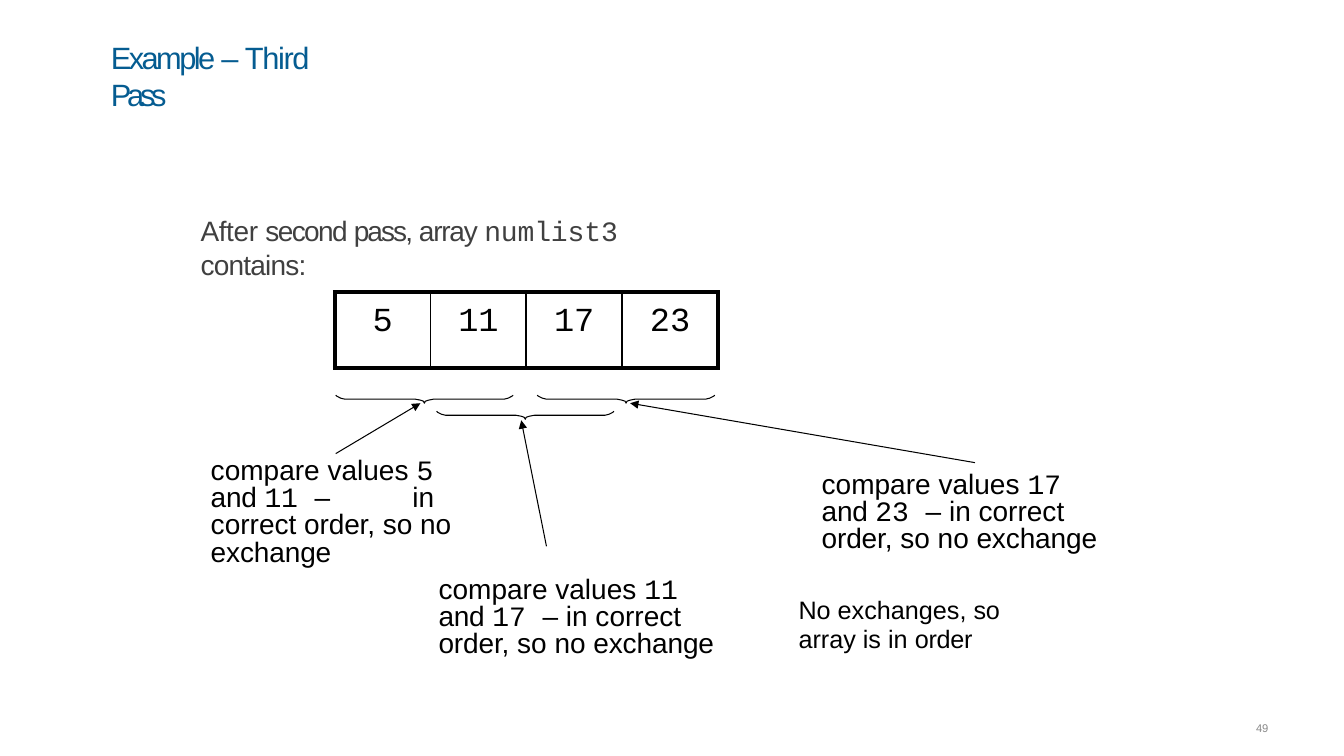
from lxml import etree
from pptx import Presentation
from pptx import util as u
from pptx.dml.color import RGBColor
from pptx.enum import shapes, text
from pptx.oxml import ns

BLACK = RGBColor(0, 0, 0)
BLUE = RGBColor(0x05, 0x5C, 0x91)
DARK_GREY = RGBColor(0x40, 0x40, 0x40)
PAGE_GREY = RGBColor(0x89, 0x89, 0x89)
SANS, MONO = "Arial", "Courier New"

# Half of a brace: distance from the tip, and depth below the top
HALF_BRACE = [(0, 0.08), (0.01, 0.06), (0.04, 0.05), (0.09, 0.04), (0.15, 0.04),
              (0.73, 0.04), (0.79, 0.04), (0.83, 0.03), (0.87, 0.01), (0.88, 0)]


def sub(parent, tag, **attributes):
    return etree.SubElement(parent, ns.qn(tag), attributes)


def write(frame, runs, size, color, inset=0.01, before=1, spacing=None):
    """Fill a frame with (words, font, letter spacing) runs."""
    frame.word_wrap = True
    frame.vertical_anchor = text.MSO_ANCHOR.TOP
    frame.margin_left = frame.margin_right = frame.margin_bottom = 0
    frame.margin_top = u.Inches(inset)
    paragraph = frame.paragraphs[0]
    paragraph.alignment = text.PP_ALIGN.LEFT
    paragraph.space_before = u.Pt(before)
    if spacing:
        paragraph.line_spacing = spacing
    for words, font, tracking in runs:
        run = paragraph.add_run()
        run.text = words
        run.font.name = font
        run.font.size = u.Pt(size)
        run.font.color.rgb = color
        run.font._element.set("spc", str(round(tracking * 100)))
    return paragraph


def add_text(slide, left, top, width, height, runs, size, color, **layout):
    box = slide.shapes.add_textbox(*map(u.Inches, (left, top, width, height)))
    return write(box.text_frame, runs, size, color, **layout)


def add_title(slide, left, top, width, height):
    title = slide.shapes.title
    title.left, title.top, title.width, title.height = map(u.Inches, (left, top, width, height))
    write(title.text_frame, [("Example ", SANS, -1.8), ("– ", SANS, -1.4),
                             ("Third ", SANS, -1), ("Pass", SANS, -3)], 22, BLUE)
    title.text_frame.auto_size = text.MSO_AUTO_SIZE.NONE


def add_array(slide, left, top, cell_width, height, values):
    frame = slide.shapes.add_table(1, len(values), *map(
        u.Inches, (left, top, cell_width * len(values), height)))
    array = frame.table
    array.first_row = array.horz_banding = False
    for index, value in enumerate(values):
        array.columns[index].width = u.Inches(cell_width)
        cell = array.cell(0, index)
        cell.margin_left = cell.margin_right = cell.margin_bottom = 0
        cell.margin_top = u.Inches(0.11)
        cell.text_frame.text = str(value)
        paragraph = cell.text_frame.paragraphs[0]
        paragraph.alignment = text.PP_ALIGN.CENTER
        paragraph.space_before = u.Pt(7.7)
        font = paragraph.runs[0].font
        font.name, font.size, font.color.rgb = MONO, u.Pt(24), BLACK
        # Thick outer borders, thin inner ones
        borders = {"a:lnL": 1.5 if index else 3,
                   "a:lnR": 1.5 if index < len(values) - 1 else 3,
                   "a:lnT": 3, "a:lnB": 3}
        properties = cell._tc.get_or_add_tcPr()
        for tag, weight in borders.items():
            line = sub(properties, tag, w=str(u.Pt(weight)))
            sub(sub(line, "a:solidFill"), "a:srgbClr", val=str(BLACK))
        cell.fill.background()


def add_brace(slide, tip_x, top):
    left_half = [(tip_x - dx, top + dy) for dx, dy in reversed(HALF_BRACE)]
    right_half = [(tip_x + dx, top + dy) for dx, dy in HALF_BRACE[1:]]
    points = [(u.Inches(x), u.Inches(y)) for x, y in left_half + right_half]
    builder = slide.shapes.build_freeform(*points[0])
    builder.add_line_segments(points[1:], close=False)
    brace = builder.convert_to_shape()
    brace.shadow.inherit = False
    brace.fill.background()
    brace.line.color.rgb = BLACK
    brace.line.width = u.Pt(0.75)


def add_arrow(slide, start, end):
    arrow = slide.shapes.add_connector(
        shapes.MSO_CONNECTOR.STRAIGHT, *map(u.Inches, (*start, *end)))
    arrow.line.color.rgb = BLACK
    arrow.line.width = u.Pt(0.75)
    sub(arrow.line._get_or_add_ln(), "a:tailEnd", type="triangle", w="med", len="med")
    sub(arrow._element.spPr, "a:effectLst")


def add_comparison(slide, left, top, width, height, first, second, dash):
    return add_text(slide, left, top, width, height, [
        ("compare values ", SANS, 0), (f"{first} ", MONO, -0.1), ("and ", SANS, -0.2),
        (f"{second} ", MONO, -0.1), (dash, SANS, 0), ("in correct", SANS, 0),
        (" order, ", SANS, -0.1), ("so no", SANS, 0), (" exchange", SANS, -0.1),
    ], 20, BLACK, inset=0.08, before=5.5, spacing=0.81)


def build_slide(slide):
    add_title(slide, 1.1, 0.37, 2.5, 0.75)

    # Array after the second pass
    add_text(slide, 1.99, 2.11, 5.1, 0.7, [
        ("After ", SANS, -0.3), ("second ", SANS, -1.2), ("pass, ", SANS, -1.4),
        ("array ", SANS, -0.9), ("numlist3 ", MONO, -0.1), ("contains:", SANS, -0.6),
    ], 20, DARK_GREY)
    add_array(slide, 3.32, 2.9, 0.95, 0.75, [5, 11, 17, 23])

    # Neighbouring pairs and the arrows from their comparisons
    for tip_x, top in [(4.21, 3.92), (5.21, 4.08), (6.21, 3.92)]:
        add_brace(slide, tip_x, top)
    for start, end in [((3.33, 4.5), (4.17, 4)), ((5.42, 5.42), (5.17, 4.17)),
                       ((9.67, 4.59), (6.25, 4))]:
        add_arrow(slide, start, end)

    # Comparisons
    tabbed = add_comparison(slide, 2.09, 4.47, 2.45, 1.15, 5, 11, "–\t")
    tabs = sub(tabbed._p.get_or_add_pPr(), "a:tabLst")
    sub(tabs, "a:tab", pos=str(u.Inches(2)), algn="l")
    add_comparison(slide, 4.35, 5.65, 2.9, 0.9, 11, 17, "– ")
    add_comparison(slide, 8.15, 4.61, 2.9, 0.9, 17, 23, "– ")

    # Conclusion and page number
    add_text(slide, 7.92, 5.87, 2.03, 0.62, [
        ("No exchanges, ", SANS, 0), ("so ", SANS, -0.2),
        ("array is in ", SANS, 0), ("order", SANS, -0.2),
    ], 18, BLACK, inset=0.03, before=2.1, spacing=u.Pt(21.1))
    add_text(slide, 12.46, 7.15, 0.17, 0.16, [("49", SANS, -0.2)], 8, PAGE_GREY, before=0.6)


def main():
    deck = Presentation()
    deck.slide_width, deck.slide_height = u.Inches(13.33), u.Inches(7.5)
    build_slide(deck.slides.add_slide(deck.slide_layouts[5]))
    deck.save("out.pptx")


if __name__ == "__main__":
    main()
